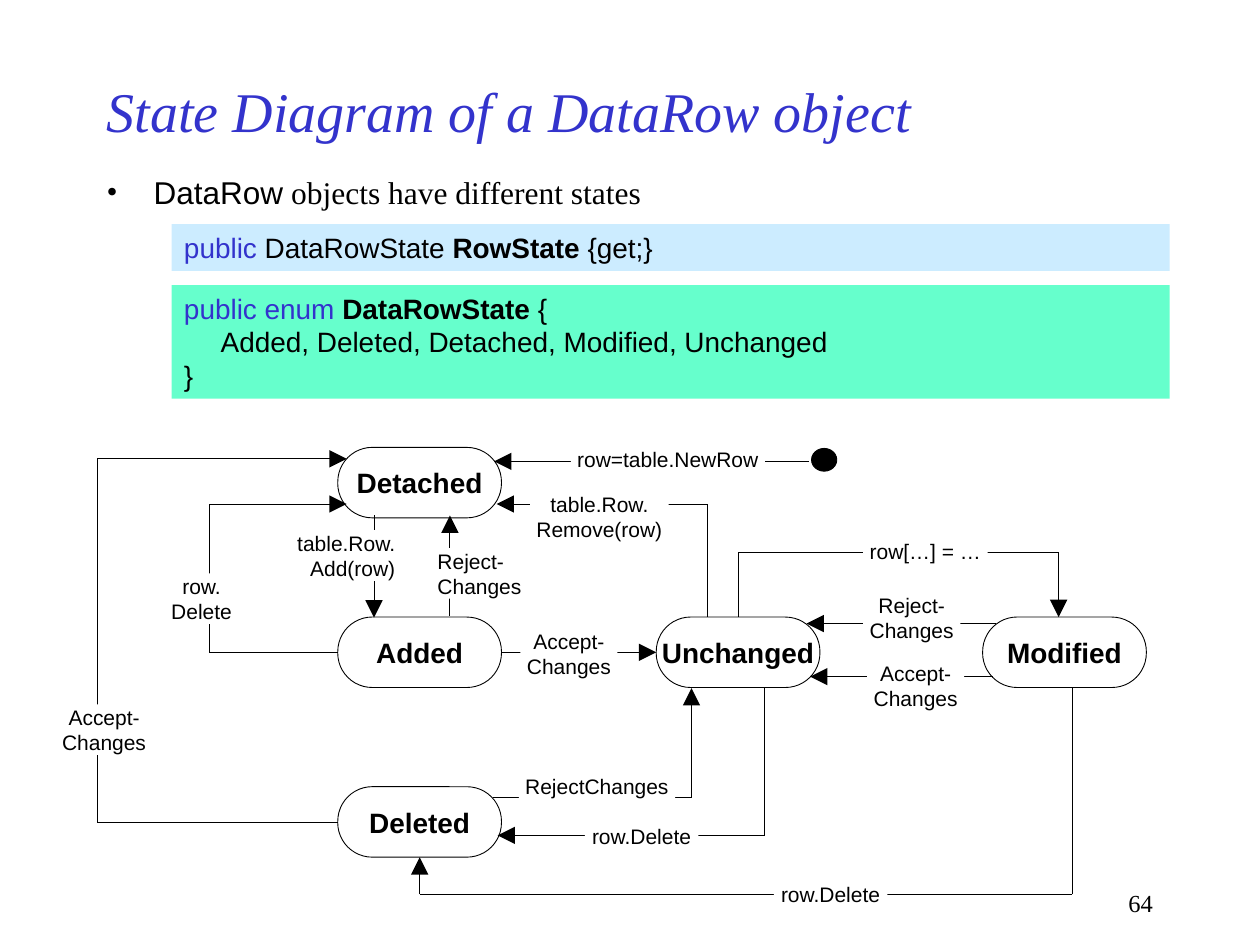
from itertools import pairwise

from lxml import etree
from pptx import Presentation
from pptx.dml.color import RGBColor
from pptx.enum.shapes import MSO_CONNECTOR, MSO_SHAPE
from pptx.enum.text import MSO_ANCHOR, MSO_AUTO_SIZE, PP_ALIGN
from pptx.oxml.ns import qn
from pptx.util import Cm, Pt

STRAIGHT = MSO_CONNECTOR.STRAIGHT
RECTANGLE, ROUNDED, OVAL = MSO_SHAPE.RECTANGLE, MSO_SHAPE.ROUNDED_RECTANGLE, MSO_SHAPE.OVAL
TOP, MIDDLE = MSO_ANCHOR.TOP, MSO_ANCHOR.MIDDLE
GROW, FIXED = MSO_AUTO_SIZE.SHAPE_TO_FIT_TEXT, MSO_AUTO_SIZE.NONE
LEFT, CENTER, RIGHT = PP_ALIGN.LEFT, PP_ALIGN.CENTER, PP_ALIGN.RIGHT
TOP_SIDE, LEFT_SIDE, BOTTOM_SIDE, RIGHT_SIDE = range(4)

COLORS = {"black": "000000", "blue": "3333CC", "white": "FFFFFF",
          "property": "CCECFF", "enum": "66FFCC"}
SANS, SERIF = "Arial", "Times New Roman"

STATE_WIDTH, STATE_HEIGHT = 3.3, 1.42
ROW_STEP = 3.42
LINE_HEIGHT = 0.51
LABEL_MARGIN = 0.08

# Name: left, row
STATES = {
    "Detached": (5.81, 0),
    "Added": (5.81, 1),
    "Unchanged": (12.23, 1),
    "Modified": (18.81, 1),
    "Deleted": (5.81, 2),
}

# Label lines, label (left, top, width), alignment, corner points,
# joined start (state, side), joined end (state, side)
TRANSITIONS = [
    (["row=table.NewRow"], (10.51, 0, 3.91), CENTER, [(15.31, 0.3), (8.96, 0.3)], None, None),
    (["table.Row.", "Add(row)"], (4.79, 1.69, 2.26), RIGHT,
     [(6.54, 1.39), (6.54, 3.45)], None, None),
    (["Reject-", "Changes"], (7.74, 2.05, 1.96), LEFT, [(8.07, 3.42), (8.07, 1.39)], None, None),
    (["row.", "Delete"], (2.33, 2.56, 1.47), CENTER,
     [(5.81, 4.15), (3.22, 4.15), (3.22, 1.16), (5.99, 1.16)], ("Added", LEFT_SIDE), None),
    (["Accept-", "Changes"], (9.49, 3.67, 1.96), CENTER,
     [(9.11, 4.15), (12.23, 4.15)], ("Added", RIGHT_SIDE), ("Unchanged", LEFT_SIDE)),
    (["row.Delete"], (10.79, 7.61, 2.29), CENTER,
     [(14.42, 4.87), (14.42, 7.84), (9.03, 7.84)], None, None),
    (["Accept-", "Changes"], (0.12, 5.2, 1.96), CENTER,
     [(5.81, 7.57), (0.96, 7.57), (0.96, 0.25), (5.99, 0.25)], ("Deleted", LEFT_SIDE), None),
    (["row.Delete"], (14.6, 8.78, 2.29), CENTER,
     [(20.62, 4.87), (20.62, 9.03), (7.46, 9.03), (7.46, 8.28)], None, ("Deleted", BOTTOM_SIDE)),
    (["row[…] = …"], (16.4, 1.85, 2.51), CENTER,
     [(13.88, 3.44), (13.88, 2.13), (20.34, 2.13), (20.34, 3.44)], ("Unchanged", TOP_SIDE), None),
    (["Accept-", "Changes"], (16.48, 4.31, 1.96), CENTER,
     [(19.02, 4.64), (15.33, 4.64)], None, None),
    (["Reject-", "Changes"], (16.4, 2.94, 1.96), CENTER,
     [(19.07, 3.57), (15.26, 3.57)], None, None),
    (["RejectChanges"], (9.46, 6.6, 3.15), CENTER,
     [(8.93, 7.08), (12.94, 7.08), (12.94, 4.87)], None, None),
    (["table.Row.", "Remove(row)"], (9.69, 0.91, 2.79), CENTER,
     [(13.27, 3.44), (13.27, 1.16), (9.01, 1.16)], None, None),
]


def rgb(name):
    return RGBColor.from_string(COLORS[name])


def add_run(paragraph, text, size, font=SANS, color="black", bold=False, italic=False):
    run = paragraph.add_run()
    run.text = text
    run.font.size, run.font.name = Pt(size), font
    run.font.bold, run.font.italic = bold, italic
    run.font.color.rgb = rgb(color)


def add_box(slide, kind, box, fill=None, outline=False):
    shape = slide.shapes.add_shape(kind, *map(Cm, box))
    shape.shadow.inherit = False
    if fill:
        shape.fill.solid()
        shape.fill.fore_color.rgb = rgb(fill)
    else:
        shape.fill.background()
    if outline:
        shape.line.color.rgb = rgb("black")
        shape.line.width = Pt(0.5)
    else:
        shape.line.fill.background()
    return shape


def add_title(slide, box, text):
    title = slide.shapes.title
    title.left, title.top, title.width, title.height = map(Cm, box)
    frame = title.text_frame
    frame.vertical_anchor = MIDDLE
    frame.auto_size = FIXED
    paragraph = frame.paragraphs[0]
    paragraph.alignment = LEFT
    add_run(paragraph, text, 32, SERIF, "blue", italic=True)


def add_text_box(slide, box):
    frame = slide.shapes.add_textbox(*map(Cm, box)).text_frame
    frame.word_wrap = True
    return frame.paragraphs[0]


def add_bullet(slide, box):
    paragraph = add_text_box(slide, box)
    properties = paragraph._p.get_or_add_pPr()
    properties.set("marL", str(Cm(0.95)))
    properties.set("indent", str(-Cm(0.95)))
    etree.SubElement(properties, qn("a:buFont")).set("typeface", SERIF)
    etree.SubElement(properties, qn("a:buChar")).set("char", "•")
    add_run(paragraph, "DataRow", 18)
    add_run(paragraph, " objects have different states", 18, SERIF)


def add_page_number(slide, box, text):
    paragraph = add_text_box(slide, box)
    paragraph.alignment = RIGHT
    add_run(paragraph, text, 14, SERIF)


def add_code(slide, box, fill, lines):
    """Each line is (indent, runs); each run is (text, color, bold)."""
    frame = add_box(slide, RECTANGLE, box, fill).text_frame
    frame.word_wrap = True
    frame.vertical_anchor = TOP
    for index, (indent, runs) in enumerate(lines):
        paragraph = frame.add_paragraph() if index else frame.paragraphs[0]
        paragraph.alignment = LEFT
        if indent:
            paragraph._p.get_or_add_pPr().set("marL", str(Cm(indent)))
        for text, color, bold in runs:
            add_run(paragraph, text, 16, color=color, bold=bold)


def add_state(slide, box, name):
    shape = add_box(slide, ROUNDED, box, outline=True)
    shape.adjustments[0] = 0.49
    frame = shape.text_frame
    frame.word_wrap = False
    frame.vertical_anchor = MIDDLE
    frame.paragraphs[0].alignment = CENTER
    add_run(frame.paragraphs[0], name, 16, bold=True)
    return shape


def add_segment(slide, start, end, arrow):
    connector = slide.shapes.add_connector(STRAIGHT, *map(Cm, start + end))
    connector.line.color.rgb = rgb("black")
    connector.line.width = Pt(0.5)
    if arrow:
        tail = etree.SubElement(connector.line._get_or_add_ln(), qn("a:tailEnd"))
        for key, value in (("type", "triangle"), ("w", "lg"), ("len", "lg")):
            tail.set(key, value)
    etree.SubElement(connector._element.spPr, qn("a:effectLst"))
    return connector


def add_label(slide, box, lines, alignment):
    frame = add_box(slide, RECTANGLE, box, "white").text_frame
    frame.word_wrap = False
    frame.auto_size = GROW
    frame.vertical_anchor = TOP
    frame.margin_left = frame.margin_right = Cm(LABEL_MARGIN)
    frame.margin_top = frame.margin_bottom = 0
    paragraph = frame.paragraphs[0]
    paragraph.alignment = alignment
    for index, line in enumerate(lines):
        if index:
            paragraph.add_line_break()
        add_run(paragraph, line, 12)


def add_state_diagram(slide, left, top):
    # States and the starting dot
    states = {name: add_state(slide, (left + x, top + row * ROW_STEP + 0.02,
                                      STATE_WIDTH, STATE_HEIGHT), name)
              for name, (x, row) in STATES.items()}
    add_box(slide, OVAL, (left + 15.36, top + 0.04, 0.51, 0.46), "black", outline=True)

    # Transitions, each with its label on top of the line
    for lines, (x, y, width), alignment, points, start, end in TRANSITIONS:
        corners = [(left + px, top + py) for px, py in points]
        segments = [add_segment(slide, a, b, b is corners[-1]) for a, b in pairwise(corners)]
        if start:
            segments[0].begin_connect(states[start[0]], start[1])
        if end:
            segments[-1].end_connect(states[end[0]], end[1])
        add_label(slide, (left + x, top + y, width, LINE_HEIGHT * len(lines)), lines, alignment)


def main():
    presentation = Presentation()
    presentation.slide_width, presentation.slide_height = Cm(25.4), Cm(19.05)
    slide = presentation.slides.add_slide(presentation.slide_layouts[5])
    add_title(slide, (1.9, 1.27, 19.05, 1.9), "State Diagram of a DataRow object")
    add_bullet(slide, (1.9, 3.36, 21.13, 1.09))
    add_code(slide, (3.46, 4.52, 20.12, 0.94), "property", [
        (0, [("public", "blue", False), (" DataRowState ", "black", False),
             ("RowState", "black", True), (" {get;}", "black", False)])])
    add_code(slide, (3.46, 5.75, 20.12, 2.29), "enum", [
        (0, [("public enum ", "blue", False), ("DataRowState", "black", True),
             (" {", "black", False)]),
        (0.74, [("Added, Deleted, Detached, Modified, Unchanged", "black", False)]),
        (0, [("}", "black", False)])])
    add_state_diagram(slide, 1, 9)
    add_page_number(slide, (18.21, 17.78, 5.28, 0.84), "64")
    presentation.save("out.pptx")


if __name__ == "__main__":
    main()
